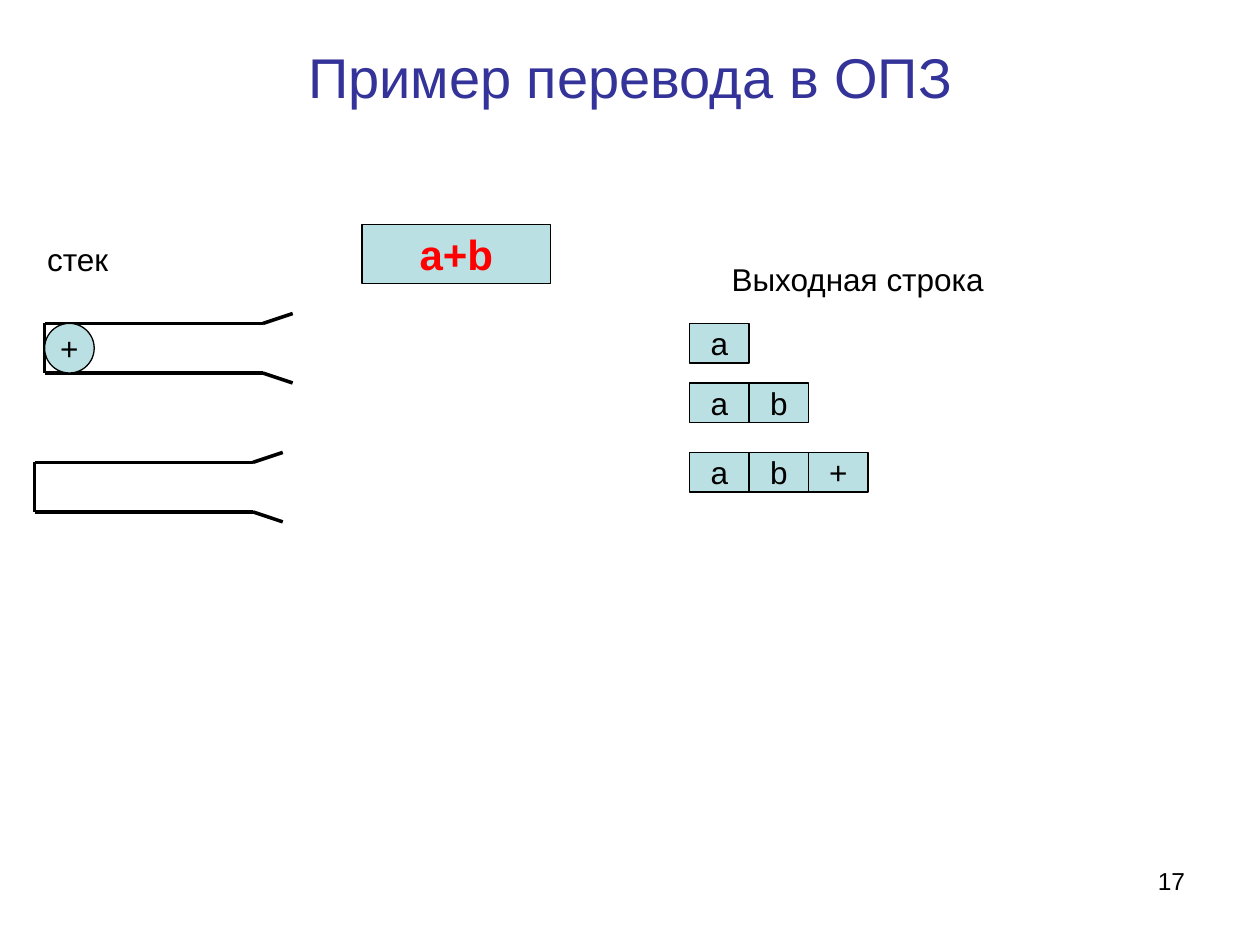
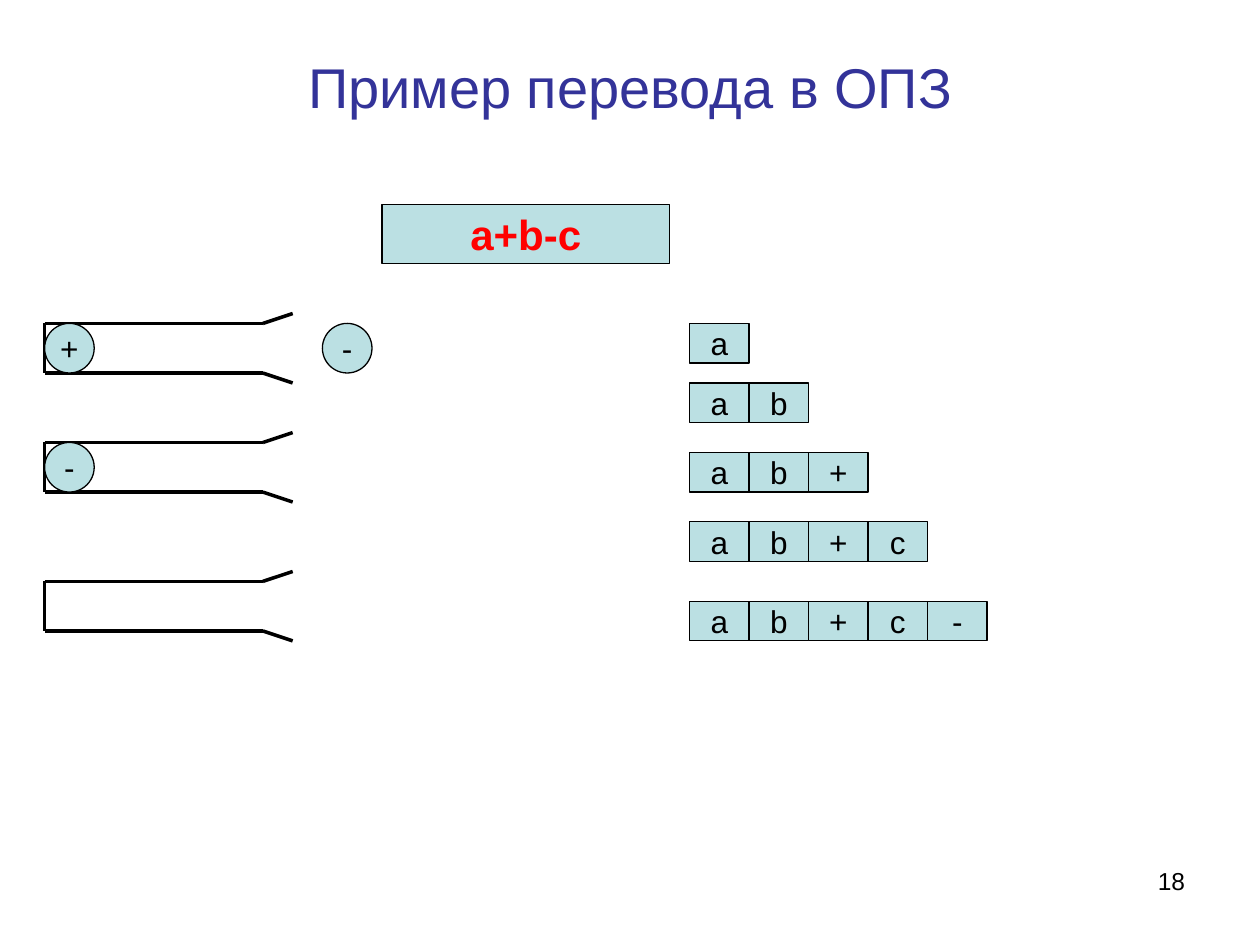
from dataclasses import dataclass

from lxml.etree import SubElement
from pptx import Presentation
from pptx.dml.color import RGBColor
from pptx.enum.shapes import MSO_CONNECTOR, MSO_SHAPE
from pptx.enum.text import MSO_ANCHOR, MSO_AUTO_SIZE, PP_ALIGN
from pptx.oxml.ns import qn
from pptx.util import Inches, Pt

SCALE = 7200  # EMU in one px: 127 px to the inch, 5 px to the mm


def px(n):
    return n * SCALE


@dataclass(frozen=True)
class Theme:
    font: str = "Arial"
    ink: str = "000000"
    head: str = "333399"
    fill: str = "BBE0E3"
    mark: str = "FF0000"
    title: int = 32
    expr: int = 24
    body: int = 18
    foot: int = 14
    thin: float = 0.75
    thick: float = 2


class Deck:
    def __init__(self, theme):
        self.theme = theme
        self.show = Presentation()
        self.show.slide_width = Inches(10)
        self.show.slide_height = Inches(7.5)
        self.slide = None

    def page(self, title, num, high):
        self.slide = self.show.slides.add_slide(self.show.slide_layouts[6])
        t = self.theme
        box = self.text(title, 64, 38, 1143, high, t.title, t.head, PP_ALIGN.CENTER)
        box.text_frame.vertical_anchor = MSO_ANCHOR.MIDDLE
        self.text(str(num), 911, 867, 296, 66, t.foot, t.ink, PP_ALIGN.RIGHT)

    def style(self, frame, text, size, tint, align, bold=False):
        frame.text = text
        para = frame.paragraphs[0]
        para.alignment = align
        font = para.runs[0].font
        font.name = self.theme.font
        font.size = Pt(size)
        font.bold = bold
        font.color.rgb = RGBColor.from_string(tint)

    def text(self, text, x, y, w, h, size, tint, align):
        box = self.slide.shapes.add_textbox(px(x), px(y), px(w), px(h))
        box.text_frame.word_wrap = True
        self.style(box.text_frame, text, size, tint, align)
        return box

    def label(self, text, x, y, w):
        t = self.theme
        frame = self.text(text, x, y, w, 51, t.body, t.ink, PP_ALIGN.LEFT).text_frame
        frame.auto_size = MSO_AUTO_SIZE.SHAPE_TO_FIT_TEXT
        frame.paragraphs[0].space_before = Pt(11.2)

    def shape(self, kind, text, x, y, w, h, size, tint, bold=False):
        item = self.slide.shapes.add_shape(kind, px(x), px(y), px(w), px(h))
        item.shadow.inherit = False
        item.fill.solid()
        item.fill.fore_color.rgb = RGBColor.from_string(self.theme.fill)
        item.line.color.rgb = RGBColor.from_string(self.theme.ink)
        item.line.width = Pt(self.theme.thin)
        frame = item.text_frame
        frame.word_wrap = False
        frame.vertical_anchor = MSO_ANCHOR.MIDDLE
        self.style(frame, text, size, tint, PP_ALIGN.CENTER, bold)

    def expr(self, text, x, y, w):
        t = self.theme
        self.shape(MSO_SHAPE.RECTANGLE, text, x, y, w, 60, t.expr, t.mark, True)

    def row(self, text, y):
        """One output string, a cell for each symbol."""
        t = self.theme
        for i, sign in enumerate(text):
            self.shape(MSO_SHAPE.RECTANGLE, sign, 695 + 60 * i, y, 60, 40, t.body, t.ink)

    def ball(self, sign, x, y):
        t = self.theme
        self.shape(MSO_SHAPE.OVAL, sign, x, y, 50, 50, t.body, t.ink)

    def line(self, x1, y1, x2, y2):
        item = self.slide.shapes.add_connector(
            MSO_CONNECTOR.STRAIGHT, px(x1), px(y1), px(x2), px(y2))
        item.line.color.rgb = RGBColor.from_string(self.theme.ink)
        item.line.width = Pt(self.theme.thick)
        SubElement(item._element.spPr, qn("a:effectLst"))

    def stack(self, x, y, sign=None):
        """A tube with a flared mouth on the right, and the sign it holds."""
        low, neck, lip = y + 50, x + 220, x + 250
        self.line(x, y, neck, y)
        self.line(x, y, x, low)
        self.line(x, low, neck, low)
        self.line(neck, y, lip, y - 10)
        self.line(neck, low, lip, low + 10)
        if sign:
            self.ball(sign, x, y)


TITLE = "Пример перевода в ОПЗ"
ROWS = [("a", 326), ("ab", 386), ("ab+", 456), ("ab+c", 526), ("ab+c-", 606)]


def main():
    deck = Deck(Theme())

    # Two operands
    deck.page(TITLE, 17, 78)
    deck.expr("a+b", 365, 226, 190)
    deck.label("стек", 35, 236, 190)
    deck.label("Выходная строка", 725, 256, 330)
    deck.stack(45, 326, "+")
    deck.stack(35, 466)
    for text, y in ROWS[:3]:
        deck.row(text, y)

    # Three operands
    deck.page(TITLE, 18, 98)
    deck.expr("a+b-c", 385, 206, 290)
    deck.stack(45, 326, "+")
    deck.ball("-", 325, 326)
    deck.stack(45, 446, "-")
    deck.stack(45, 586)
    for text, y in ROWS:
        deck.row(text, y)

    deck.show.save("out.pptx")


if __name__ == "__main__":
    main()
